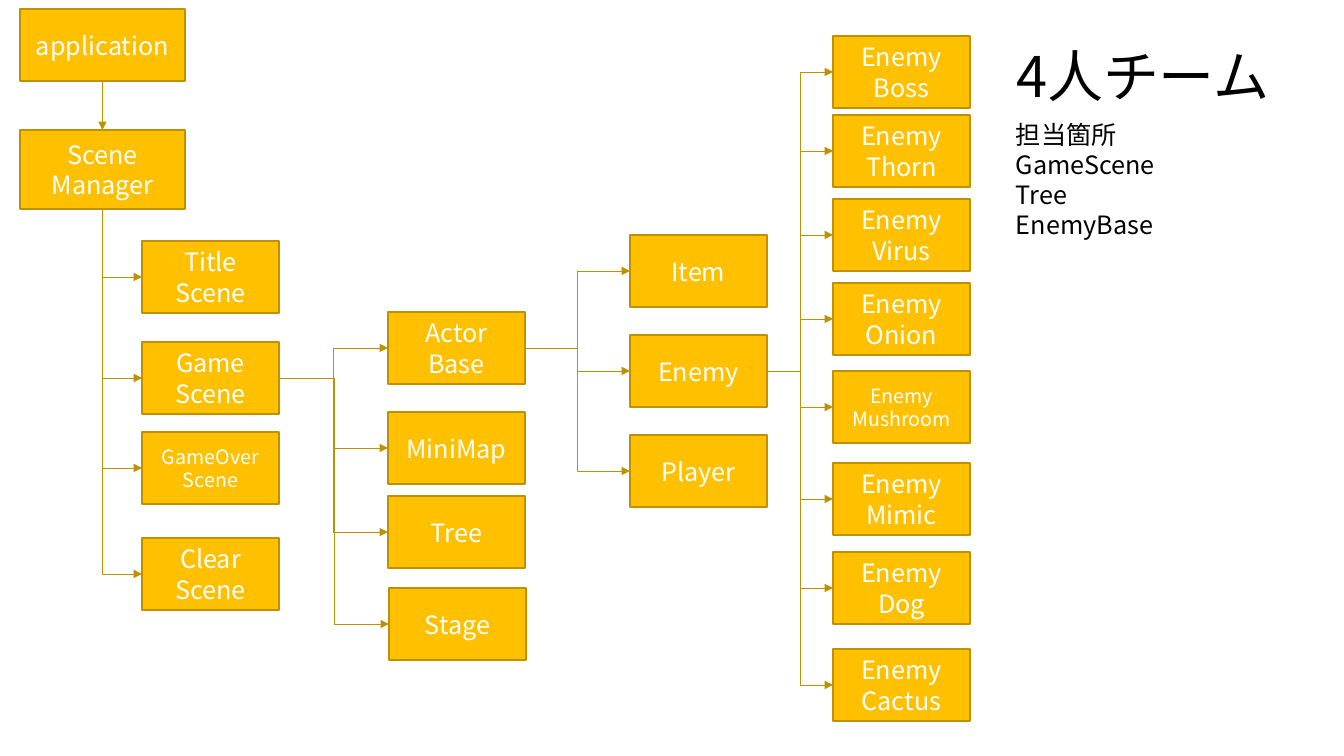
from lxml import etree
from pptx import Presentation
from pptx import util as u
from pptx.dml.color import RGBColor
from pptx.enum import shapes, text
from pptx.oxml.ns import qn

# Content: each column holds its left edge and (label, top) rows
ROOTS = [("application", 9, 72), ("Scene\nManager", 130, 79)]
SCENES = (142, [("Title\nScene", 241), ("Game\nScene", 342),
                ("GameOver\nScene", 432), ("Clear\nScene", 538)])
PARTS = (388, [("Actor\nBase", 312), ("MiniMap", 412), ("Tree", 496), ("Stage", 588)])
ACTORS = (630, [("Item", 235), ("Enemy", 335), ("Player", 435)])
ENEMIES = (833, [("Enemy\nBoss", 36), ("Enemy\nThorn", 115), ("Enemy\nVirus", 199),
                 ("Enemy\nOnion", 283), ("Enemy\nMushroom", 371), ("Enemy\nMimic", 463),
                 ("Enemy\nDog", 552), ("Enemy\nCactus", 649)])
SMALL = {"GameOver\nScene", "Enemy\nMushroom"}
SHIFT = {"Stage": 1}
TITLE = "4人チーム"
DUTIES = "担当箇所\vGameScene\vTree\vEnemyBase"

COLORS = {"fill": "FFC000", "line": "BF9000", "white": "FFFFFF", "black": "000000"}
FONT = "Noto Sans CJK JP"
SCALE = 914400 / 100.8
BOX_W, BOX_H = 137, 72
TOP, LEFT, BOTTOM, RIGHT = range(4)
KIND = shapes.MSO_CONNECTOR


def px(n):
    return u.Emu(round(n * SCALE))


def color(name):
    return RGBColor.from_string(COLORS[name])


def write(shape, words, size=18, ink="black", align=text.PP_ALIGN.LEFT,
          anchor=text.MSO_ANCHOR.TOP, wrap=True, fit=text.MSO_AUTO_SIZE.NONE):
    frame = shape.text_frame
    frame.text = words
    frame.word_wrap, frame.auto_size, frame.vertical_anchor = wrap, fit, anchor
    for para in frame.paragraphs:
        para.alignment = align
        for run in para.runs:
            run.font.size, run.font.name = u.Pt(size), FONT
            run.font.color.rgb = color(ink)
            east = etree.SubElement(run.font._element, qn("a:ea"))
            east.set("typeface", FONT)


def box(label, x, y, w=BOX_W, h=BOX_H):
    shape = slide.shapes.add_shape(shapes.MSO_SHAPE.RECTANGLE, px(x), px(y), px(w), px(h))
    shape.shadow.inherit = False
    shape.fill.solid()
    shape.fill.fore_color.rgb = color("fill")
    shape.line.color.rgb = color("line")
    shape.line.width = u.Pt(1)
    write(shape, label, size=14 if label in SMALL else 18, ink="white",
          align=text.PP_ALIGN.CENTER, anchor=text.MSO_ANCHOR.MIDDLE)
    return shape


def column(x, rows):
    return [box(label, x + SHIFT.get(label, 0), y) for label, y in rows]


def arrow(kind, *ends):
    link = slide.shapes.add_connector(kind, *(u.Emu(round(n)) for n in ends))
    link.line.color.rgb = color("line")
    link.line.width = u.Pt(0.5)
    tip = etree.SubElement(link.line._get_or_add_ln(), qn("a:tailEnd"))
    tip.set("type", "triangle")
    etree.SubElement(link._element.spPr, qn("a:effectLst"))
    return link


def join(kind, start, side, end, port):
    link = arrow(kind, 0, 0, 0, 0)
    link.begin_connect(start, side)
    link.end_connect(end, port)


def fan(start, ends):
    for end in ends:
        join(KIND.ELBOW, start, RIGHT, end, LEFT)


def drop(x, y, end):
    """One-bend arrow: down from (x, y), then right into the box."""
    wide, high = end.left - x, end.top + end.height / 2 - y
    mid_x, mid_y = x + wide / 2, y + high / 2
    link = arrow(KIND.ELBOW, mid_x + high / 2, mid_y - wide / 2,
                 mid_x - high / 2, mid_y + wide / 2)
    props = link._element.spPr
    props.find(qn("a:xfrm")).set("rot", str(270 * 60000))
    props.find(qn("a:prstGeom")).set("prst", "bentConnector2")


deck = Presentation()
deck.slide_width, deck.slide_height = px(1344), px(756)
slide = deck.slides.add_slide(deck.slide_layouts[5])

# Boxes
app, manager = [box(label, 20, y, 165, h) for label, y, h in ROOTS]
scenes, parts, actors, enemies = [column(*c) for c in (SCENES, PARTS, ACTORS, ENEMIES)]

# Arrows
join(KIND.STRAIGHT, app, BOTTOM, manager, TOP)
trunk, base = manager.left + manager.width / 2, manager.top + manager.height
first, *others = scenes
level = first.top + first.height / 2
arrow(KIND.STRAIGHT, trunk, level, first.left, level).end_connect(first, LEFT)
for scene in others:
    drop(trunk, base, scene)
fan(scenes[1], parts)
fan(parts[0], actors)
fan(actors[1], enemies)

# Title and duties
title = slide.shapes.title
title.left, title.top, title.width, title.height = px(1006), px(36), px(334), px(78)
write(title, TITLE, size=40)
duties = slide.shapes.add_textbox(px(1006), px(114), px(161), px(132))
write(duties, DUTIES, wrap=False, fit=text.MSO_AUTO_SIZE.SHAPE_TO_FIT_TEXT)

deck.save("out.pptx")
